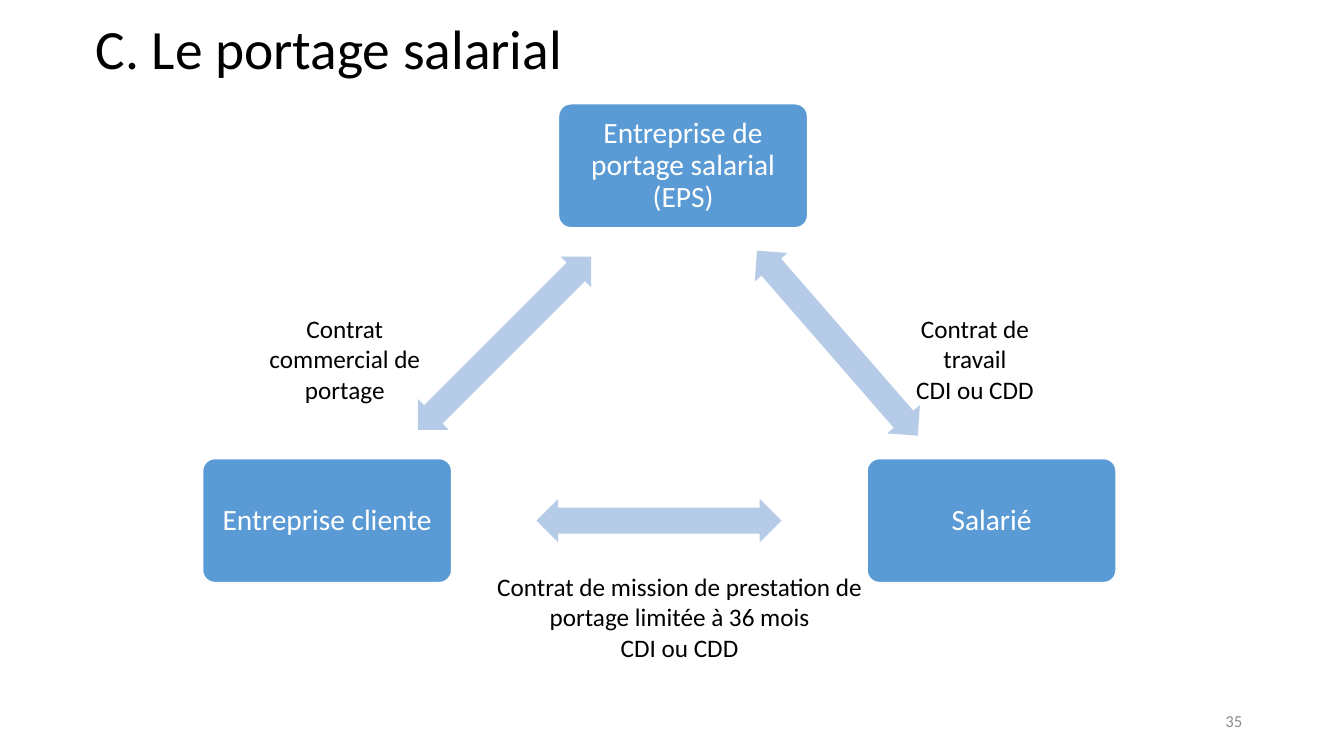
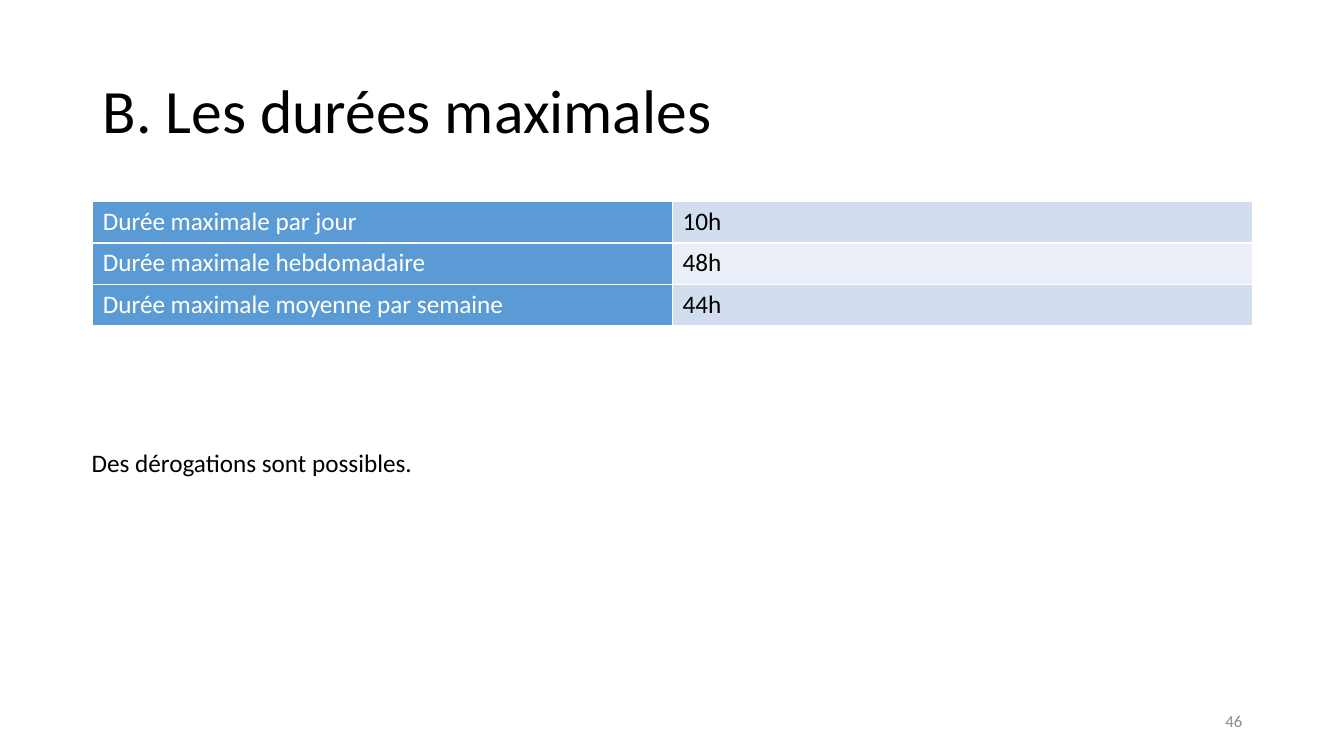
"""Build two slides on employment law: umbrella employment and maximum working hours."""
from dataclasses import dataclass

from lxml import etree
from pptx import Presentation
from pptx.dml.color import RGBColor
from pptx.enum.shapes import MSO_SHAPE
from pptx.enum.text import MSO_ANCHOR, MSO_AUTO_SIZE, PP_ALIGN
from pptx.oxml.ns import qn
from pptx.presentation import Presentation as Deck
from pptx.shapes.autoshape import Shape
from pptx.slide import Slide
from pptx.table import _Cell
from pptx.text.text import TextFrame
from pptx.util import Inches, Pt

ROUNDED, DOUBLE_ARROW = MSO_SHAPE.ROUNDED_RECTANGLE, MSO_SHAPE.LEFT_RIGHT_ARROW
MIDDLE, TOP = MSO_ANCHOR.MIDDLE, MSO_ANCHOR.TOP
LEFT, CENTER, RIGHT = PP_ALIGN.LEFT, PP_ALIGN.CENTER, PP_ALIGN.RIGHT
NO_AUTOFIT, GROW = MSO_AUTO_SIZE.NONE, MSO_AUTO_SIZE.SHAPE_TO_FIT_TEXT

BLACK = RGBColor(0x00, 0x00, 0x00)
WHITE = RGBColor(0xFF, 0xFF, 0xFF)
GRAY = RGBColor(0x8C, 0x8C, 0x8C)
BLUE = RGBColor(0x5B, 0x9B, 0xD5)
ARROW_BLUE = RGBColor(0xB5, 0xCB, 0xE7)
BANDS = (RGBColor(0xD2, 0xDE, 0xEF), RGBColor(0xEA, 0xEF, 0xF7))

FONT = "Calibri"
TITLE_ONLY_LAYOUT = 5
CONTENT_WIDTH = 11.5
PARTY_WIDTH, PARTY_HEIGHT = 2.47, 1.23
ARROW_WIDTH, ARROW_HEIGHT = 2.43, 0.43
ROW_HEIGHT = 0.41


@dataclass(frozen=True)
class TextStyle:
    """Size, colour and alignment of a text."""

    size: float
    color: RGBColor = BLACK
    align: PP_ALIGN = LEFT
    line_spacing: float = 1.0


@dataclass(frozen=True)
class Party:
    """A party to the contracts, drawn as a rounded box."""

    name: str
    left: float
    top: float


@dataclass(frozen=True)
class Arrow:
    """A double arrow between two parties."""

    left: float
    top: float
    rotation: float


@dataclass(frozen=True)
class Label:
    """A free text on a slide."""

    lines: tuple[str, ...]
    left: float
    top: float
    width: float
    height: float
    style: TextStyle
    anchor: MSO_ANCHOR = TOP


PARTY_STYLE = TextStyle(21, WHITE, CENTER, 0.9)
BODY_STYLE = TextStyle(18)
CONTRACT_STYLE = TextStyle(18, align=CENTER)
HEADER_STYLE = TextStyle(18, WHITE)
NUMBER_STYLE = TextStyle(12, GRAY, RIGHT)

PARTIES = (
    Party("Entreprise de portage salarial (EPS)", 5.54, 1.03),
    Party("Salarié", 8.6, 4.55),
    Party("Entreprise cliente", 2.01, 4.55),
)
ARROWS = (Arrow(7.09, 3.19, 49), Arrow(5.32, 4.95, 180), Arrow(3.79, 3.19, 315))
CONTRACTS = (
    Label(("Contrat de travail", "CDI ou CDD"), 8.76, 3.06, 1.82, 1.01, CONTRACT_STYLE),
    Label(("Contrat commercial de portage",), 2.51, 3.06, 1.82, 1.01, CONTRACT_STYLE),
    Label(
        ("Contrat de mission de prestation de portage limitée à 36 mois", "CDI ou CDD"),
        4.55, 5.62, 4.38, 1.01, CONTRACT_STYLE,
    ),
)
DURATIONS = (
    ("Durée maximale par jour", "10h"),
    ("Durée maximale hebdomadaire", "48h"),
    ("Durée maximale moyenne par semaine", "44h"),
)
EXCEPTIONS = Label(("Des dérogations sont possibles.",), 0.81, 4.39, 7.75, 0.4, BODY_STYLE)


def write_text(frame: TextFrame, lines: tuple[str, ...], style: TextStyle) -> None:
    """Fill a text frame with one styled paragraph per line."""
    frame.word_wrap = True
    frame.text = "\n".join(lines)
    for paragraph in frame.paragraphs:
        paragraph.alignment = style.align
        paragraph.line_spacing = style.line_spacing
        paragraph.font.name = FONT
        paragraph.font.size = Pt(style.size)
        paragraph.font.color.rgb = style.color


def add_label(slide: Slide, label: Label) -> None:
    """Add a text box."""
    box = slide.shapes.add_textbox(
        Inches(label.left), Inches(label.top), Inches(label.width), Inches(label.height)
    )
    write_text(box.text_frame, label.lines, label.style)
    box.text_frame.vertical_anchor = label.anchor
    box.text_frame.auto_size = GROW if label.anchor == TOP else NO_AUTOFIT


def add_titled_slide(
    presentation: Deck, title: str, left: float, top: float, height: float, size: float, number: int
) -> Slide:
    """Add a slide with its title and page number."""
    slide = presentation.slides.add_slide(presentation.slide_layouts[TITLE_ONLY_LAYOUT])
    shape = slide.shapes.title
    shape.left, shape.top = Inches(left), Inches(top)
    shape.width, shape.height = Inches(CONTENT_WIDTH), Inches(height)
    write_text(shape.text_frame, (title,), TextStyle(size, line_spacing=0.9))
    shape.text_frame.vertical_anchor = MIDDLE
    shape.text_frame.auto_size = NO_AUTOFIT
    add_label(slide, Label((str(number),), 9.42, 6.95, 3, 0.4, NUMBER_STYLE, MIDDLE))
    return slide


def add_filled_shape(
    slide: Slide, kind: MSO_SHAPE, left: float, top: float, width: float, height: float, fill: RGBColor
) -> Shape:
    """Add a preset shape with a solid fill and no shadow."""
    shape = slide.shapes.add_shape(kind, Inches(left), Inches(top), Inches(width), Inches(height))
    shape.shadow.inherit = False
    shape.fill.solid()
    shape.fill.fore_color.rgb = fill
    return shape


def add_party(slide: Slide, party: Party) -> None:
    """Add the box of a party with its name."""
    box = add_filled_shape(slide, ROUNDED, party.left, party.top, PARTY_WIDTH, PARTY_HEIGHT, BLUE)
    box.adjustments[0] = 0.1
    box.line.color.rgb = WHITE
    box.line.width = Pt(1)
    frame = box.text_frame
    frame.margin_left = frame.margin_right = Inches(0.13)
    frame.vertical_anchor = MIDDLE
    write_text(frame, (party.name,), PARTY_STYLE)


def add_arrow(slide: Slide, arrow: Arrow) -> None:
    """Add a rotated double arrow."""
    shape = add_filled_shape(
        slide, DOUBLE_ARROW, arrow.left, arrow.top, ARROW_WIDTH, ARROW_HEIGHT, ARROW_BLUE
    )
    shape.adjustments[0], shape.adjustments[1] = 0.6, 0.5
    shape.line.fill.background()
    shape.rotation = arrow.rotation


def format_cell(cell: _Cell, text: str, style: TextStyle, fill: RGBColor) -> None:
    """Write a table cell with white borders and a solid fill."""
    write_text(cell.text_frame, (text,), style)
    properties = cell._tc.get_or_add_tcPr()
    for side in ("a:lnL", "a:lnR", "a:lnT", "a:lnB"):
        border = etree.SubElement(properties, qn(side), w=str(Pt(1)))
        solid = etree.SubElement(border, qn("a:solidFill"))
        etree.SubElement(solid, qn("a:srgbClr"), val=str(WHITE))
    cell.fill.solid()
    cell.fill.fore_color.rgb = fill


def add_duration_table(slide: Slide) -> None:
    """Add the table of maximum durations."""
    table = slide.shapes.add_table(
        len(DURATIONS), 2, Inches(0.92), Inches(2),
        Inches(CONTENT_WIDTH), Inches(ROW_HEIGHT * len(DURATIONS)),
    ).table
    table.first_row = False
    table.first_col = True
    for index, (name, duration) in enumerate(DURATIONS):
        table.rows[index].height = Inches(ROW_HEIGHT)
        format_cell(table.cell(index, 0), name, HEADER_STYLE, BLUE)
        format_cell(table.cell(index, 1), duration, BODY_STYLE, BANDS[index % len(BANDS)])


def build_umbrella_slide(presentation: Deck) -> None:
    """Build the slide on the three-party contract."""
    slide = add_titled_slide(presentation, "C. Le portage salarial", 0.85, 0.15, 0.73, 39.6, 35)
    for party in PARTIES:
        add_party(slide, party)
    for arrow in ARROWS:
        add_arrow(slide, arrow)
    for contract in CONTRACTS:
        add_label(slide, contract)


def build_duration_slide(presentation: Deck) -> None:
    """Build the slide on maximum durations."""
    slide = add_titled_slide(presentation, "B. Les durées maximales", 0.92, 0.4, 1.45, 44, 46)
    add_duration_table(slide)
    add_label(slide, EXCEPTIONS)


def main() -> None:
    """Build and save the presentation."""
    presentation = Presentation()
    presentation.slide_width = Inches(13.33)
    presentation.slide_height = Inches(7.5)
    build_umbrella_slide(presentation)
    build_duration_slide(presentation)
    presentation.save("out.pptx")


main()
